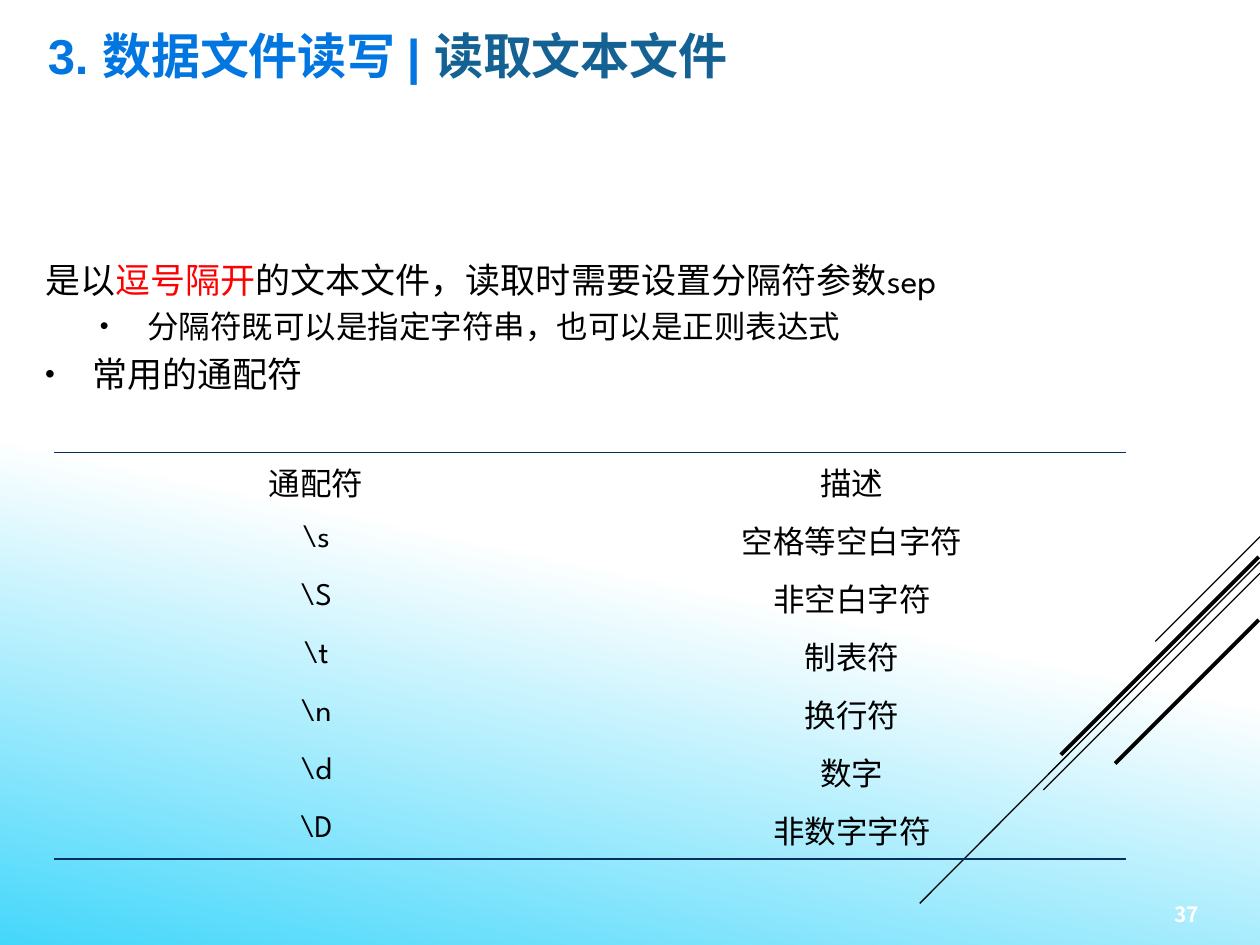
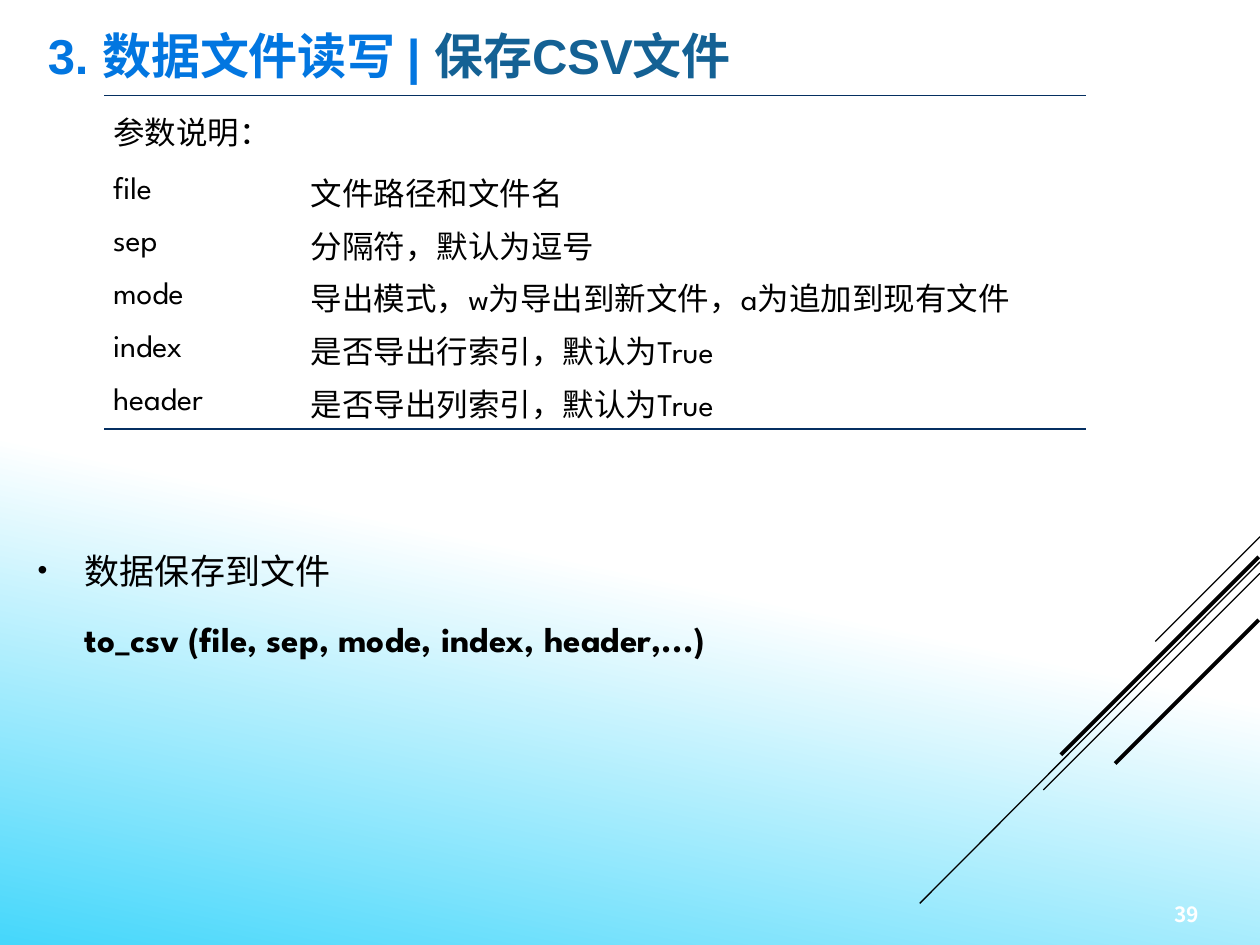
"""Build two slides on reading and saving text data files."""
from lxml import etree
from pptx import Presentation
from pptx.dml import color
from pptx.enum import shapes, text
from pptx.oxml import ns
from pptx.util import Pt

COLORS = {"ink": "000000", "title": "0276E0", "topic": "146194", "accent": "FF0000",
          "rule": "052F61", "white": "FFFFFF", "sky": "45D7FB"}
BODY_FONT, TITLE_FONT, CJK_FONT = "League Spartan", "Arial", "Noto Sans CJK SC"
PLAIN_TABLE = "{2D5ABB26-0587-4C30-8999-92F81FD0307C}"
STRIPES = [(720, 306.7, 660.2, 366.5, 0.75), (720, 321.1, 525.6, 516.2, 0.75),
           (720, 327.6, 596.2, 451.4, 0.75), (719.3, 318.2, 606.2, 431.3, 2.25),
           (719.3, 354.2, 637.2, 436.3, 2.25)]


def rgb(name):
    return color.RGBColor.from_string(COLORS[name])


def child(parent, tag, **attributes):
    return etree.SubElement(parent, ns.qn(tag), attributes)


class Deck:
    def __init__(self):
        self.prs = Presentation()
        self.prs.slide_width, self.prs.slide_height = Pt(720), Pt(540)
        self.slide = None

    def add_slide(self, topic, number):
        self.slide = self.prs.slides.add_slide(self.prs.slide_layouts[6])
        fill = self.slide.background.fill
        fill.gradient()
        fill.gradient_angle = 258
        for stop, name, position in zip(fill.gradient_stops, ("white", "sky"), (0.58, 1)):
            stop.color.rgb, stop.position = rgb(name), position
        for stripe in STRIPES:
            self.line(*stripe)
        page = self.box(661.7, 511.2, 50.4, 22.3)
        page.margin_left = Pt(9.2)
        self.runs(page.paragraphs[0], [(str(number), "white")], 12, CJK_FONT, True)
        title = self.box(20.2, 0.7, 493.2, 61.2)
        self.runs(title.paragraphs[0], [("3. 数据文件读写 | ", "title"), (topic, "topic")],
                  28, TITLE_FONT, True)

    def line(self, x1, y1, x2, y2, width):
        stripe = self.slide.shapes.add_connector(
            shapes.MSO_CONNECTOR.STRAIGHT, Pt(x1), Pt(y1), Pt(x2), Pt(y2))
        stripe.line.color.rgb, stripe.line.width = rgb("ink"), Pt(width)
        child(stripe.line._get_or_add_ln().getparent(), "a:effectLst")

    def box(self, left, top, width, height):
        frame = self.slide.shapes.add_textbox(Pt(left), Pt(top), Pt(width), Pt(height)).text_frame
        frame.word_wrap = True
        frame.vertical_anchor = text.MSO_ANCHOR.MIDDLE
        return frame

    def runs(self, paragraph, parts, size, font=BODY_FONT, bold=False):
        for words, name in parts:
            run = paragraph.add_run()
            run.text = words
            run.font.size, run.font.name, run.font.bold = Pt(size), font, bold
            run.font.color.rgb = rgb(name)
            child(run.font._element, "a:ea", typeface=CJK_FONT)

    def body(self, place, items, spacing, gap, bottom=3.6):
        frame = self.box(*place)
        frame.margin_bottom = Pt(bottom)
        for index, (parts, size, indent, bullet, bold) in enumerate(items):
            paragraph = frame.add_paragraph() if index else frame.paragraphs[0]
            props = paragraph._p.get_or_add_pPr()
            props.set("marL", str(Pt(indent)))
            if bullet:
                props.set("indent", str(Pt(-27)))
                child(child(props, "a:buClr"), "a:srgbClr", val=COLORS["ink"])
                child(props, "a:buSzPct", val="80000")
                child(props, "a:buFont", typeface="Arial")
                child(props, "a:buChar", char="•")
            paragraph.line_spacing = spacing
            if index:
                paragraph.space_before = Pt(gap)
            self.runs(paragraph, parts, size, bold=bold)

    def table(self, left, top, widths, heights, rows, align):
        grid = self.slide.shapes.add_table(len(rows), len(widths), Pt(left), Pt(top),
                                           Pt(sum(widths)), Pt(sum(heights))).table
        grid.first_row = grid.horz_banding = False
        grid._tbl.tblPr.find(ns.qn("a:tableStyleId")).text = PLAIN_TABLE
        for column, width in zip(grid.columns, widths):
            column.width = Pt(width)
        for index, (row, height, words) in enumerate(zip(grid.rows, heights, rows)):
            row.height = Pt(height)
            for cell, entry in zip(row.cells, words):
                cell.margin_left = cell.margin_right = Pt(5)
                cell.margin_top = cell.margin_bottom = 0
                cell.vertical_anchor = text.MSO_ANCHOR.MIDDLE
                if index == 0:
                    self.rule(cell, "a:lnT")
                if index == len(rows) - 1:
                    self.rule(cell, "a:lnB")
                cell.fill.background()
                paragraph = cell.text_frame.paragraphs[0]
                paragraph.alignment = align
                if entry:
                    self.runs(paragraph, [(entry, "ink")], 18)

    def rule(self, cell, side):
        edge = child(cell._tc.get_or_add_tcPr(), side, w=str(Pt(1)))
        child(child(edge, "a:solidFill"), "a:srgbClr", val=COLORS["rule"])


def main():
    deck = Deck()
    deck.add_slide("读取文本文件", 37)
    separator = [("是以", "ink"), ("逗号隔开", "accent"),
                 ("的文本文件，读取时需要设置分隔符参数sep", "ink")]
    regex = [("分隔符既可以是指定字符串，也可以是正则表达式", "ink")]
    deck.body((18.7, 66.2, 691.9, 238.3),
              [(separator, 20, 0, False, False), (regex, 18, 58.3, True, False),
               ([("常用的通配符", "ink")], 20, 27, True, False)], 1.1, 2)
    wildcards = [("通配符", "描述"), (r"\s", "空格等空白字符"), (r"\S", "非空白字符"),
                 (r"\t", "制表符"), (r"\n", "换行符"), (r"\d", "数字"), (r"\D", "非数字字符")]
    deck.table(31, 258.5, (299.3, 313), [33.2] * 7, wildcards, text.PP_ALIGN.CENTER)

    deck.add_slide("保存CSV文件", 39)
    deck.body((14.4, 264.2, 691.9, 209.5),
              [([("数据保存到文件", "ink")], 20, 27, True, False),
               ([("to_csv (file, sep, mode, index, header,...)", "ink")], 20, 27, False, True)],
              1.3, 8, 58)
    parameters = [("参数说明：", ""), ("file", "文件路径和文件名"), ("sep", "分隔符，默认为逗号"),
                  ("mode", "导出模式，w为导出到新文件，a为追加到现有文件"),
                  ("index", "是否导出行索引，默认为True"), ("header", "是否导出列索引，默认为True")]
    deck.table(59.6, 54.7, (113, 448), [39.6] + [30.2] * 5, parameters, text.PP_ALIGN.JUSTIFY)
    deck.prs.save("out.pptx")


if __name__ == "__main__":
    main()
